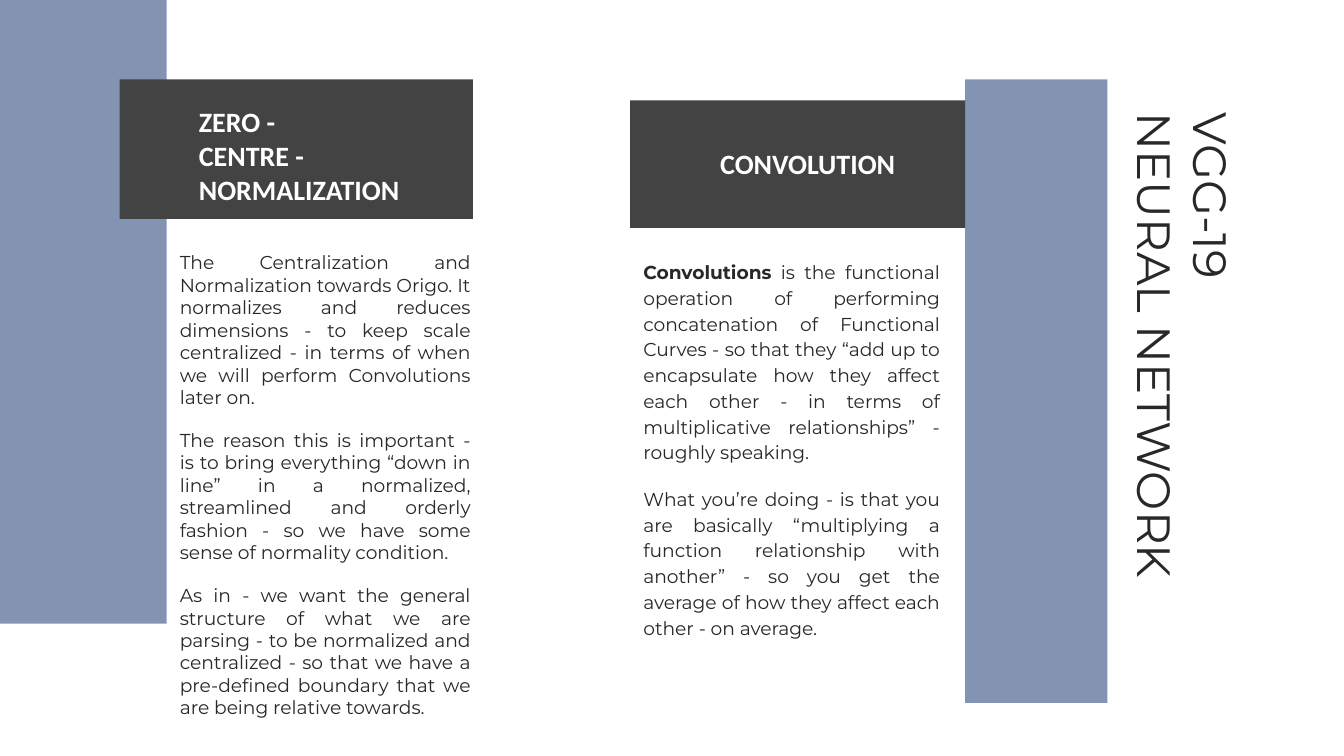
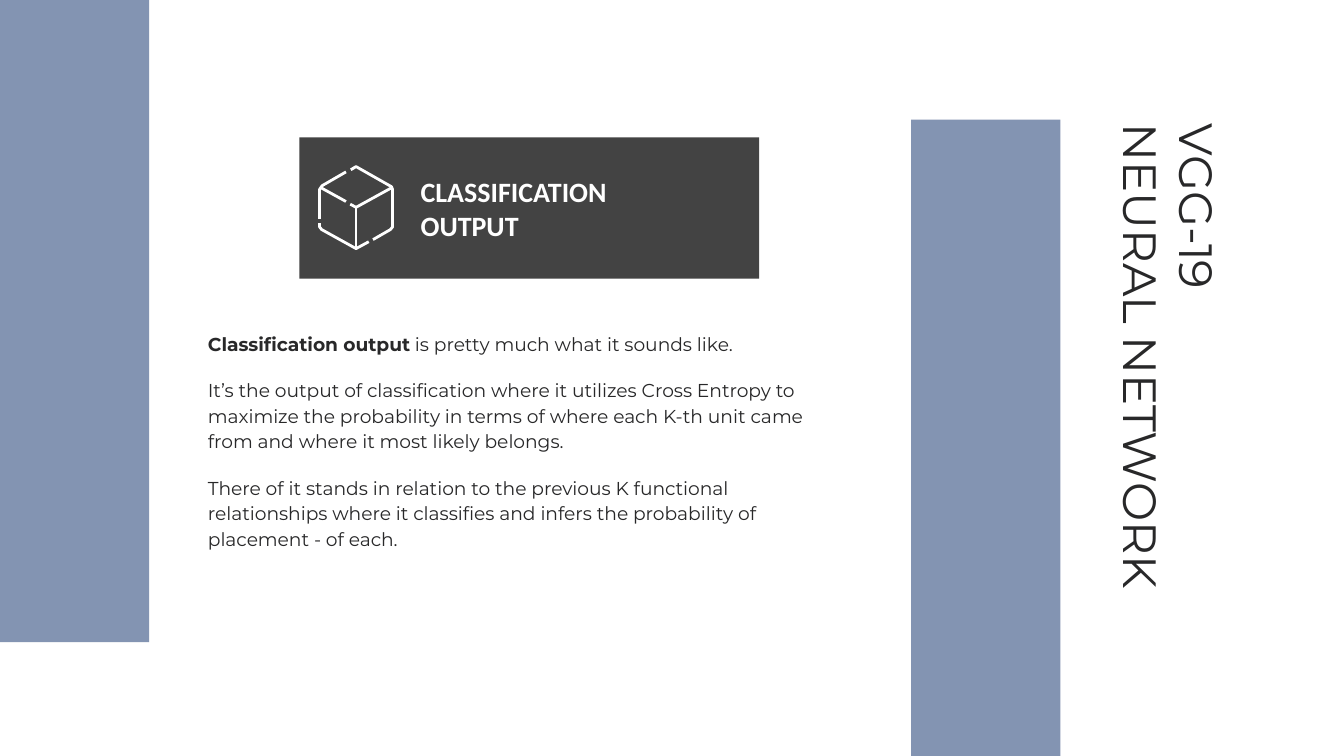
from lxml import etree
from pptx import Presentation
from pptx.dml.color import RGBColor
from pptx.enum.shapes import MSO_SHAPE as Preset
from pptx.enum.text import MSO_ANCHOR as Anchor, MSO_AUTO_SIZE as AutoSize, PP_ALIGN as Align
from pptx.oxml.ns import qn
from pptx.util import Cm, Pt

BLUE, CHARCOAL, INK, WHITE = "556D96", "434343", "282829", "FFFFFF"
BODY_FONT, HEADING_FONT = "Montserrat", "Calibri"
INSET = 0.25
TITLE_LINES = [["VGG-19"], ["NEURAL NETWORK"]]


def paint(fill, colour, opacity=None):
    fill.solid()
    fill.fore_color.rgb = RGBColor.from_string(colour)
    if opacity:
        srgb = fill._xPr.find(qn("a:solidFill"))[0]
        etree.SubElement(srgb, qn("a:alpha")).set("val", str(opacity * 1000))


def write(frame, paragraphs, font, size, colour, anchor, align,
          spacing=1.0, gap=0, bold=False, lead_bold=False):
    """Each paragraph is a list of runs; a newline in a run is a line break."""
    frame.auto_size = AutoSize.NONE
    frame.word_wrap = True
    frame.vertical_anchor = anchor
    frame.margin_left = frame.margin_right = Cm(INSET)
    frame.margin_top = frame.margin_bottom = Cm(INSET)
    for number, runs in enumerate(paragraphs):
        paragraph = frame.add_paragraph() if number else frame.paragraphs[0]
        paragraph.alignment = align
        paragraph.line_spacing = spacing
        paragraph.space_before = Pt(gap if number else 0)
        for position, words in enumerate(runs):
            for row, line in enumerate(words.split("\n")):
                if row:
                    paragraph.add_line_break()
                run = paragraph.add_run()
                run.text = line
                run.font.name, run.font.size = font, Pt(size)
                run.font.bold = bold or (lead_bold and number == 0 and position == 0)
                paint(run.font.fill, colour)


# Content: boxes are left, top, width, height in cm
normalization = [
    ["The Centralization and Normalization towards Origo. It normalizes and reduces "
     "dimensions - to keep scale centralized - in terms of when we will perform "
     "Convolutions later on."],
    ["The reason this is important - is to bring everything “down in line” in a "
     "normalized, streamlined and orderly fashion - so we have some sense of "
     "normality condition."],
    ["As in - we want the general structure of what we are parsing - to be normalized "
     "and centralized - so that we have a pre-defined boundary that we are being "
     "relative towards."],
]
convolution = [
    ["Convolutions",
     " is the functional operation of performing concatenation of Functional Curves - "
     "so that they “add up to encapsulate how they affect each other - in terms of "
     "multiplicative relationships” - roughly speaking."],
    ["What you’re doing - is that you are basically “multiplying a function "
     "relationship with another” - so you get the average of how they affect each "
     "other - on average."],
]
classification = [
    ["Classification output", " is pretty much what it sounds like."],
    ["It’s the output of classification where it utilizes Cross Entropy to maximize "
     "the probability in terms of where each K-th unit came from and where it most "
     "likely belongs."],
    ["There of it stands in relation to the previous K functional relationships where "
     "it classifies and infers the probability of placement - of each."],
]

pages = [
    {
        "title": (17.86, 5.26, 10.13, 3.38),
        "title_drop": 1.08,
        "bars": [(18.24, 1.5, 2.69, 11.79), (0, 0, 3.15, 11.79)],
        "plates": [(11.91, 1.9, 6.33, 2.41), (2.26, 1.5, 6.68, 2.64)],
        "bodies": [((3.15, 4.5, 5.99, 6.76), normalization, Align.JUSTIFY, 1.0),
                   ((11.91, 4.62, 6.1, 7.42), convolution, Align.JUSTIFY, 1.15)],
        "headings": [((12.65, 2.59, 4.52, 1.07), [["CONVOLUTION"]],
                      Align.RIGHT, Anchor.BOTTOM),
                     ((3.51, 1.5, 5.28, 2.64), [["ZERO -\nCENTRE -\nNORMALIZATION"]],
                      Align.LEFT, Anchor.BOTTOM)],
    },
    {
        "title": (17.04, 5.51, 10.13, 3.28),
        "title_drop": 0,
        "bars": [(17.22, 2.26, 2.82, 12.14), (0, 0, 2.82, 12.14)],
        "plates": [(5.66, 2.6, 8.69, 2.67)],
        "bodies": [((3.68, 5.97, 12.65, 6.17), classification, Align.LEFT, 1.15)],
        "headings": [((7.7, 2.67, 5.99, 2.54), [["CLASSIFICATION"], ["OUTPUT"]],
                      Align.LEFT, Anchor.MIDDLE)],
    },
]

# Cube strokes, in hundredths of a cm
cube_strokes = [
    [(663, 321), (673, 315), (740, 353), (742, 358), (742, 429), (738, 434), (705, 453)],
    [(697, 457), (673, 470), (608, 434), (604, 429), (604, 422)],
    [(662, 386), (673, 392), (742, 354)],
    [(673, 392), (673, 470)],
    [(654, 325), (609, 351), (604, 358), (604, 414)],
    [(605, 354), (654, 381)],
]

deck = Presentation()
deck.slide_width, deck.slide_height = Cm(25.4), Cm(14.29)

for page in pages:
    slide = deck.slides.add_slide(deck.slide_layouts[5])

    # Bars and heading plates
    blocks = [(box, BLUE, 73) for box in page["bars"]]
    blocks += [(box, CHARCOAL, None) for box in page["plates"]]
    for box, colour, opacity in blocks:
        block = slide.shapes.add_shape(Preset.RECTANGLE, *map(Cm, box))
        block.shadow.inherit = False
        block.line.fill.background()
        paint(block.fill, colour, opacity)

    # Sideways title
    title = slide.shapes.title
    title.left, title.top, title.width, title.height = map(Cm, page["title"])
    title.rotation = 90
    write(title.text_frame, TITLE_LINES, BODY_FONT, 25, INK, Anchor.MIDDLE, Align.LEFT)
    title.text_frame.margin_top = Cm(INSET + page["title_drop"])

    # Body texts
    for box, paragraphs, align, spacing in page["bodies"]:
        body = slide.shapes.add_textbox(*map(Cm, box))
        write(body.text_frame, paragraphs, BODY_FONT, 10, INK, Anchor.TOP, align,
              spacing, gap=11, lead_bold=len(paragraphs[0]) > 1)

    # Headings
    for box, paragraphs, align, anchor in page["headings"]:
        heading = slide.shapes.add_textbox(*map(Cm, box))
        write(heading.text_frame, paragraphs, HEADING_FONT, 15, WHITE, anchor, align,
              bold=True)

# Cube icon on the classification plate
first, *others = cube_strokes
outline = slide.shapes.build_freeform(*first[0], scale=Cm(0.01))
outline.add_line_segments(first[1:], close=False)
for stroke in others:
    outline.move_to(*stroke[0])
    outline.add_line_segments(stroke[1:], close=False)
cube = outline.convert_to_shape()
cube.shadow.inherit = False
cube.fill.background()
cube.line.width = Pt(1.5)
paint(cube.line.fill, WHITE)

deck.save("out.pptx")
